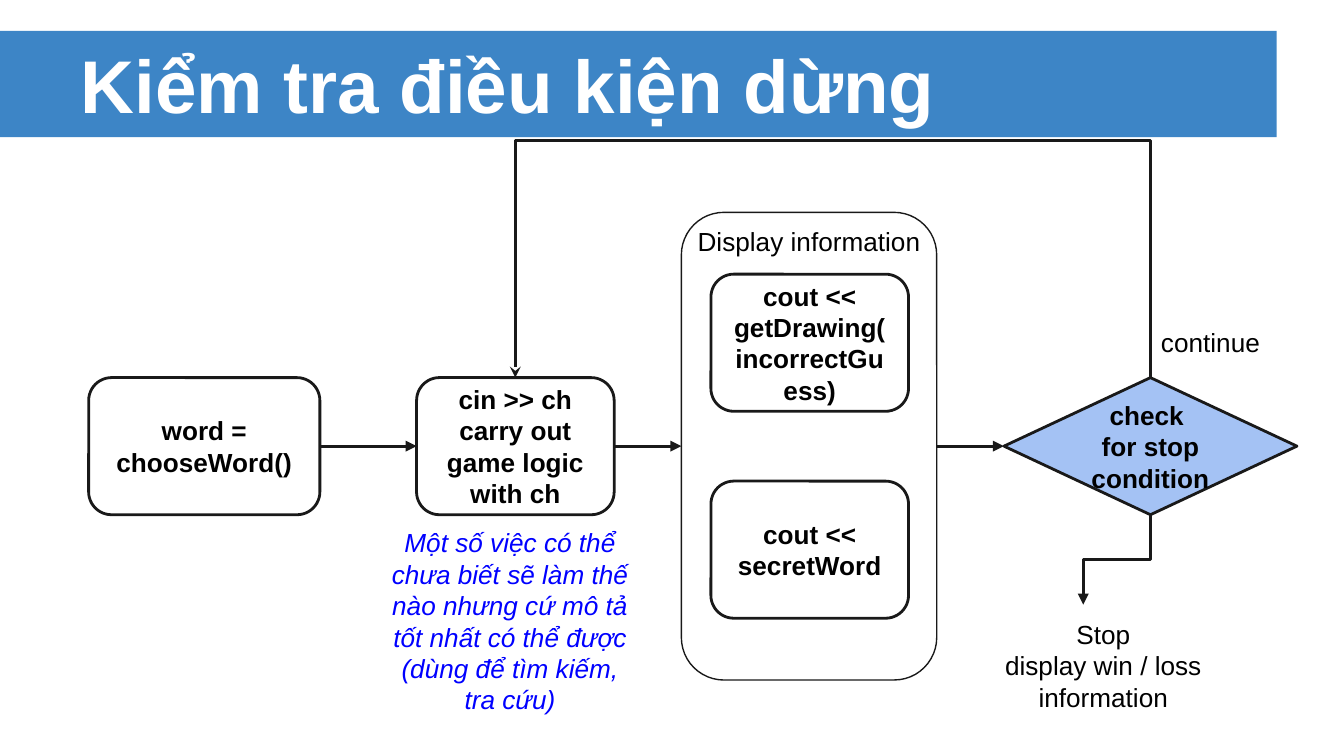
from dataclasses import dataclass

from lxml import etree
from pptx import Presentation
from pptx.dml.color import RGBColor
from pptx.enum.shapes import MSO_CONNECTOR, MSO_SHAPE
from pptx.enum.text import MSO_ANCHOR, MSO_AUTO_SIZE, PP_ALIGN
from pptx.oxml.ns import qn
from pptx.util import Emu, Inches, Pt

RECT, ROUND, DIAMOND = MSO_SHAPE.RECTANGLE, MSO_SHAPE.ROUNDED_RECTANGLE, MSO_SHAPE.DIAMOND
STRAIGHT, ELBOW = MSO_CONNECTOR.STRAIGHT, MSO_CONNECTOR.ELBOW
LEFT, CENTER = PP_ALIGN.LEFT, PP_ALIGN.CENTER
TOP, MIDDLE = MSO_ANCHOR.TOP, MSO_ANCHOR.MIDDLE
NORTH, WEST, SOUTH, EAST = range(4)  # connection sites


@dataclass(frozen=True)
class Theme:
    font: str = "Arial"
    head: int = 40
    body: int = 14
    bar: str = "3D85C6"
    ink: str = "191919"
    text: str = "000000"
    white: str = "FFFFFF"
    blue: str = "0000FF"
    test: str = "A4C2F4"
    thin: float = 0.75
    thick: float = 1.5


@dataclass(frozen=True)
class Box:
    x: float
    y: float
    w: float
    h: float


@dataclass(frozen=True)
class Node:
    name: str
    box: Box
    text: str = ""
    kind: int = ROUND
    fill: str = ""
    line: float = Theme.thick


@dataclass(frozen=True)
class Note:
    box: Box
    text: str
    align: int = CENTER
    color: str = Theme.text
    italic: bool = False


THEME = Theme()
ROW, HIGH, WIDE = 2.81, 1.02, 1.47  # main row and step size
PEAK = 1.34  # height of the loop's top run

NODES = [
    Node("panel", Box(5.07, 1.58, 1.9, 3.48), line=THEME.thin),
    Node("word", Box(0.66, ROW, 1.72, HIGH), "word = chooseWord()"),
    Node("logic", Box(3.1, ROW, WIDE, HIGH), "cin >> ch\ncarry out game logic with ch"),
    Node("draw", Box(5.29, 2.04, WIDE, HIGH), "cout << getDrawing(incorrectGuess)"),
    Node("secret", Box(5.29, 3.58, WIDE, HIGH), "cout << secretWord"),
    Node("check", Box(7.47, ROW, 2.18, HIGH), "check \vfor stop condition",
         DIAMOND, THEME.test),
]
FLOWS = [("word", "logic"), ("logic", "panel"), ("panel", "check")]
NOTES = [
    Note(Box(5.07, 1.58, 1.9, 0.97), "Display information"),
    Note(Box(7.26, 4.5, 1.9, 0.97), "Stop\vdisplay win / loss\ninformation"),
    Note(Box(8.54, 2.33, 1.3, 0.48), "continue", LEFT),
    Note(Box(2.77, 3.82, 2.05, 0.68),
         "Một số việc có thể chưa biết sẽ làm thế nào nhưng cứ mô tả tốt nhất "
         "có thể được (dùng để tìm kiếm, tra cứu)", color=THEME.blue, italic=True),
]


def rgb(code: str) -> RGBColor:
    return RGBColor.from_string(code)


def area(box: Box) -> list:
    return [Inches(v) for v in (box.x, box.y, box.w, box.h)]


def write(shape, text: str, *, size=THEME.body, color=THEME.text, bold=False,
          italic=False, align=CENTER, anchor=TOP) -> None:
    frame = shape.text_frame
    frame.text = text
    frame.word_wrap = True
    frame.auto_size = MSO_AUTO_SIZE.NONE
    frame.vertical_anchor = anchor
    frame.margin_left = frame.margin_right = Inches(0.1)
    frame.margin_top = frame.margin_bottom = Inches(0.1)
    for para in frame.paragraphs:
        para.alignment = align
        for run in para.runs:
            font = run.font
            font.name, font.size = THEME.font, Pt(size)
            font.bold, font.italic = bold, italic
            font.color.rgb = rgb(color)


def add_node(slide, node: Node):
    shape = slide.shapes.add_shape(node.kind, *area(node.box))
    shape.shadow.inherit = False
    if node.fill:
        shape.fill.solid()
        shape.fill.fore_color.rgb = rgb(node.fill)
    else:
        shape.fill.background()
    if node.line:
        shape.line.color.rgb = rgb(THEME.ink)
        shape.line.width = Pt(node.line)
    else:
        shape.line.fill.background()
    if node.text:
        write(shape, node.text, bold=True, anchor=MIDDLE)
    return shape


def add_arrow(slide, kind: int, start: tuple, end: tuple, head: str = "triangle"):
    """Join (x, y) points in inches with an arrow."""
    line = slide.shapes.add_connector(kind, *[Inches(v) for v in start + end])
    line.line.color.rgb = rgb(THEME.ink)
    line.line.width = Pt(THEME.thick)
    props = line._element.spPr
    etree.SubElement(props.find(qn("a:ln")), qn("a:tailEnd"), type=head)
    etree.SubElement(props, qn("a:effectLst"))
    return line


def turn(line, mid: tuple, size: tuple, bend: float, flip: bool = False) -> None:
    """Stand an elbow upright: quarter turn about mid, bend as a share of its run."""
    line.width, line.height = size
    line.left = Inches(mid[0]) - size[0] // 2
    line.top = Inches(mid[1]) - size[1] // 2
    props = line._element.spPr
    frame = props.find(qn("a:xfrm"))
    frame.attrib.clear()
    frame.set("rot", "5400000")
    if flip:
        frame.set("flipH", "1")
    guides = props.find(qn("a:prstGeom")).find(qn("a:avLst"))
    etree.SubElement(guides, qn("a:gd"), name="adj1", fmla=f"val {round(bend * 100000)}")


def main() -> None:
    deck = Presentation()
    deck.slide_width = Inches(10)
    deck.slide_height = deck.slide_width * 9 // 16
    slide = deck.slides.add_slide(deck.slide_layouts[5])

    # Title on its bar
    title = slide.shapes.title
    title.left, title.top, title.width, title.height = area(Box(0.5, 0.23, 9, 0.79))
    write(title, "Kiểm tra điều kiện dừng", size=THEME.head, color=THEME.white,
          bold=True, align=LEFT, anchor=MIDDLE)
    bar = add_node(slide, Node("bar", Box(0, 0.23, 9.5, 0.79), kind=RECT,
                               fill=THEME.bar, line=0))
    title._element.addprevious(bar._element)

    # Steps and the arrows between them
    steps = {node.name: add_node(slide, node) for node in NODES}
    boxes = {node.name: node.box for node in NODES}
    level = ROW + HIGH / 2
    for a, b in FLOWS:
        line = add_arrow(slide, STRAIGHT, (boxes[a].x + boxes[a].w, level),
                         (boxes[b].x, level))
        line.begin_connect(steps[a], EAST)
        line.end_connect(steps[b], WEST)

    # Loop back while the game goes on
    logic, check = boxes["logic"], boxes["check"]
    near, far = logic.x + logic.w / 2, check.x + check.w / 2
    loop = add_arrow(slide, ELBOW, (far, ROW), (near, ROW), "stealth")
    loop.begin_connect(steps["check"], NORTH)
    loop.end_connect(steps["logic"], NORTH)
    hair = Emu(900)  # the bend needs a run above zero
    turn(loop, ((near + far) / 2, ROW), (hair, Inches(far - near)),
         Inches(ROW - PEAK) / hair, flip=True)

    # Way out to the stop note
    foot, goal = ROW + HIGH, (8.06, 4.5)
    out = add_arrow(slide, ELBOW, (far, foot), goal)
    out.begin_connect(steps["check"], SOUTH)
    turn(out, ((far + goal[0]) / 2, (foot + goal[1]) / 2),
         (Inches(goal[1] - foot), Inches(far - goal[0])), 0.5)

    # Notes
    for note in NOTES:
        write(slide.shapes.add_textbox(*area(note.box)), note.text,
              color=note.color, italic=note.italic, align=note.align)

    deck.save("out.pptx")


if __name__ == "__main__":
    main()
